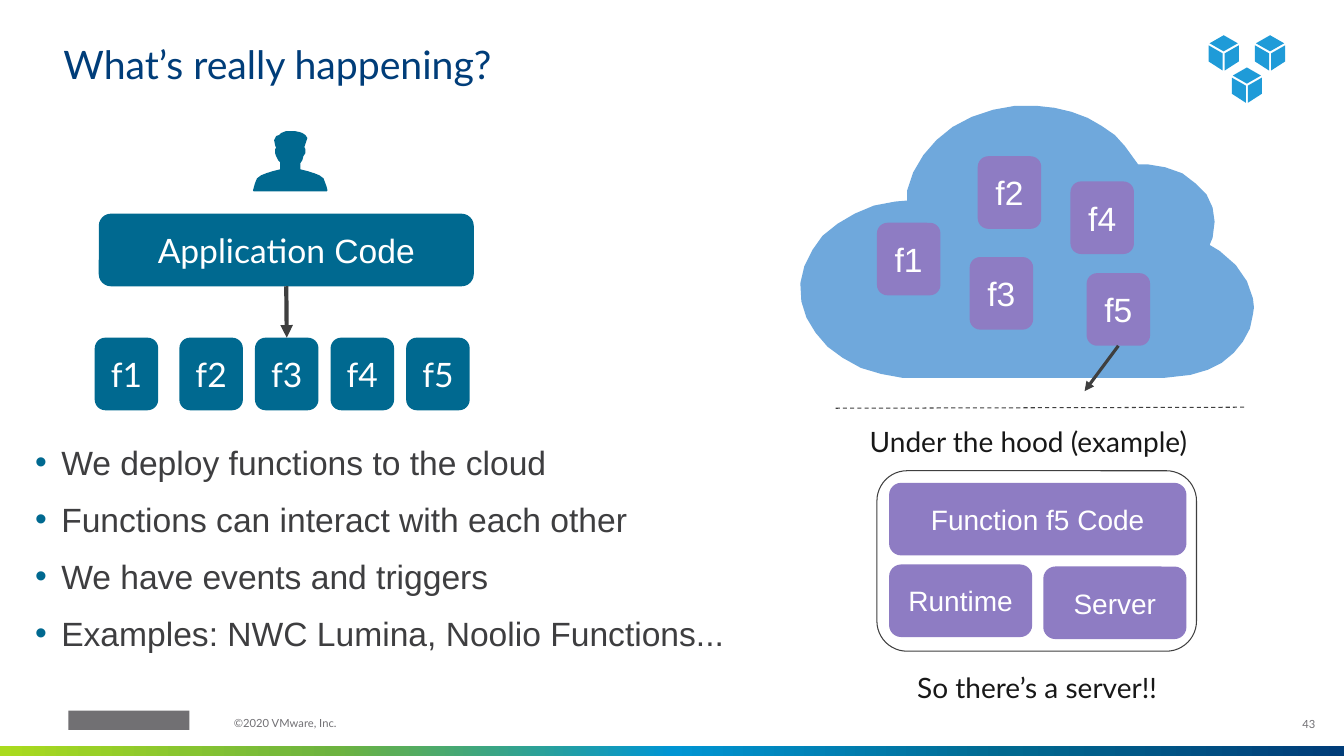
from lxml import etree
from pptx import Presentation
from pptx.dml.color import RGBColor as RGB
from pptx.enum.dml import MSO_LINE
from pptx.enum.shapes import MSO_CONNECTOR, MSO_SHAPE as SHAPE
from pptx.enum.text import MSO_ANCHOR as ANCHOR, PP_ALIGN as ALIGN
from pptx.oxml.ns import qn
from pptx.util import Emu, Inches, Pt

CELL = Inches(0.1)  # grid of square cells
COLS, ROWS = 133.33, 75
C = {"navy": "003D79", "teal": "006990", "purple": "8E7CC3", "cloud": "6FA8DC",
     "cube": "1F9BD8", "line": "3F3F3F", "body": "3E3E40", "label": "181818",
     "footer": "717074", "mark": "717073", "white": "FFFFFF"}
STRIPE = [(0, "AADB1E"), (25, "6DB33F"), (50, "0095D3"), (75, "006990"), (100, "003D79")]

CLOUD = [(120, 24.3), (120.3, 23.6), (120.5, 22), (120.3, 20.6), (119.7, 19.3), (118.6, 18.2),
         (117.3, 17.2), (115.6, 16.6), (113.8, 16.3), (112.9, 16.3), (111.6, 14.5), (110.6, 13.4),
         (109.3, 12.5), (107.9, 11.7), (106.3, 11.1), (104.6, 10.7), (102.8, 10.5), (100.7, 10.5),
         (98.5, 10.9), (96.4, 11.6), (94.5, 12.6), (92.9, 13.9), (91.6, 15.4), (90.6, 17.1),
         (90, 18.9), (90, 19.9), (88.8, 20), (86.7, 20.4), (84.8, 21.2), (83.1, 22.2),
         (81.6, 23.4), (80.6, 24.8), (79.8, 26.4), (79.4, 28.1), (79.5, 29.9), (80, 31.5),
         (80.9, 33), (82.1, 34.4), (83.6, 35.5), (85.4, 36.5), (87.4, 37.1), (89.6, 37.5),
         (115.4, 37.5), (118.1, 37.2), (119.8, 36.7), (121.2, 36), (122.4, 35), (123.3, 33.9),
         (124, 32.6), (124.3, 31.2), (124.4, 30.5), (124.3, 29.6), (123.7, 27.9), (122.6, 26.3),
         (121, 24.9)]
PERSON = [(32.1, 17.7), (31.7, 17.4), (31.2, 17.2), (30.6, 17), (29.8, 16.8), (29.8, 16.2),
          (30, 15.9), (30.1, 15.5), (30.3, 15.2), (30.3, 14.8), (30.2, 14.6), (30.4, 14),
          (30.5, 13.7), (30.3, 13.4), (30, 13.2), (29.7, 13.1), (29.2, 13), (28.4, 13),
          (27.9, 13.2), (27.7, 13.4), (27.4, 13.5), (27.2, 13.9), (27.3, 14.4), (27.4, 14.7),
          (27.3, 14.8), (27.3, 15.2), (27.4, 15.5), (27.6, 15.9), (27.8, 16.1), (27.8, 16.8),
          (27, 17), (26.4, 17.2), (25.9, 17.4), (25.5, 17.7), (25.3, 18.2), (25.1, 18.9),
          (25.2, 19), (32.4, 19), (32.5, 18.9), (32.4, 18.5)]
CUBE_TOP = [(0, 0), (-1.4, 0.8), (0, 1.6), (1.4, 0.8)]
CUBE_SIDE = [(1.5, 1), (0.1, 1.8), (0.1, 3.5), (1.5, 2.6)]


def grid(*values):
    return [Emu(round(v * CELL)) for v in values]


def write(sp, *paras, font="Lato", size=24, color="white", align=ALIGN.LEFT,
          anchor=ANCHOR.TOP, inset=(1, 1), spacing=None, before=0, bullet=None):
    """Fill a shape; each paragraph is a string or a list of (text, font) runs."""
    tf = sp.text_frame
    tf.word_wrap = True
    tf.vertical_anchor = anchor
    tf.margin_left = tf.margin_right = grid(inset[0])[0]
    tf.margin_top = tf.margin_bottom = grid(inset[1])[0]
    for i, para in enumerate(paras):
        p = tf.paragraphs[0] if i == 0 else tf.add_paragraph()
        p.alignment = align
        if spacing:
            p.line_spacing = spacing
        if i and before:
            p.space_before = Pt(before)
        if bullet:
            add_bullet(p, bullet)
        for text, face in [(para, font)] if isinstance(para, str) else para:
            r = p.add_run()
            r.text = text
            r.font.name, r.font.size = face, Pt(size)
            r.font.color.rgb = RGB.from_string(C[color])


def add_bullet(p, color):
    pPr = p._p.get_or_add_pPr()
    pPr.set("marL", str(Inches(0.31)))
    pPr.set("indent", str(Inches(-0.26)))
    clr = etree.SubElement(pPr, qn("a:buClr"))
    etree.SubElement(clr, qn("a:srgbClr"), val=C[color])
    etree.SubElement(pPr, qn("a:buFont"), typeface="Arial")
    etree.SubElement(pPr, qn("a:buChar"), char="•")


def paint(sp, fill=None, line=None):
    sp.shadow.inherit = False
    if fill:
        sp.fill.solid()
        sp.fill.fore_color.rgb = RGB.from_string(C[fill])
    else:
        sp.fill.background()
    if line:
        sp.line.color.rgb = RGB.from_string(C[line])
        sp.line.width = Pt(0.75)
    else:
        sp.line.fill.background()


def add_box(slide, at, *paras, fill="purple", line=None, kind=SHAPE.ROUNDED_RECTANGLE, **fmt):
    sp = slide.shapes.add_shape(kind, *grid(*at))
    paint(sp, fill, line)
    if paras:
        write(sp, *paras, align=ALIGN.CENTER, anchor=ANCHOR.MIDDLE, **fmt)
    return sp


def add_text(slide, at, *paras, **fmt):
    write(slide.shapes.add_textbox(*grid(*at)), *paras, **fmt)


def add_outline(slide, fill, *contours):
    first, *rest = [[grid(*pt) for pt in contour] for contour in contours]
    builder = slide.shapes.build_freeform(*first[0])
    builder.add_line_segments(first[1:])
    for contour in rest:
        builder.move_to(*contour[0])
        builder.add_line_segments(contour[1:])
    paint(builder.convert_to_shape(), fill)


def add_line(slide, start, end, width, arrow=False, dash=None, source=None, target=None):
    cx = slide.shapes.add_connector(MSO_CONNECTOR.STRAIGHT, *grid(*start, *end))
    cx.line.color.rgb = RGB.from_string(C["line"])
    cx.line.width = Pt(width)
    if dash:
        cx.line.dash_style = dash
    if arrow:
        etree.SubElement(cx.line._get_or_add_ln(), qn("a:tailEnd"), type="triangle")
    etree.SubElement(cx._element.spPr, qn("a:effectLst"))
    if source:
        cx.begin_connect(source, 2)
    if target:
        cx.end_connect(target, 0)


def add_stripe(slide):
    sp = add_box(slide, (0, ROWS - 1, COLS, 1), kind=SHAPE.RECTANGLE)
    sp.fill.gradient()
    sp.fill.gradient_angle = 0
    stops = sp._element.spPr.find(".//" + qn("a:gsLst"))
    for old in list(stops):
        stops.remove(old)
    for share, color in STRIPE:
        gs = etree.SubElement(stops, qn("a:gs"), pos=str(share * 1000))
        etree.SubElement(gs, qn("a:srgbClr"), val=color)


def add_cubes(slide):
    faces = [CUBE_TOP, CUBE_SIDE, [(-x, y) for x, y in CUBE_SIDE]]
    add_outline(slide, "cube", *[[(cx + x, cy + y) for x, y in face]
                                 for cx, cy in [(121.4, 3.5), (126, 3.5), (123.7, 6.7)]
                                 for face in faces])


def main():
    prs = Presentation()
    prs.slide_width, prs.slide_height = grid(COLS, ROWS)
    slide = prs.slides.add_slide(prs.slide_layouts[5])

    # Footer
    add_stripe(slide)
    add_box(slide, (6.8, 70.5, 12, 1.9), fill="mark", kind=SHAPE.RECTANGLE)
    small = dict(size=8, color="footer", inset=(0, 0), spacing=0.9)
    add_text(slide, (125.7, 69.9, 4.8, 4), "43", align=ALIGN.RIGHT, anchor=ANCHOR.MIDDLE, **small)
    add_text(slide, (23.2, 71.2, 21.5, 1.6), "©2020 VMware, Inc.", **small)

    # Title and icons
    title = slide.shapes.title
    title.left, title.top, title.width, title.height = grid(6.3, 4.5, 120.3, 4.2)
    write(title, "What’s really happening?", size=28, color="navy",
          anchor=ANCHOR.BOTTOM, inset=(0, 0), spacing=0.9)
    add_cubes(slide)
    add_outline(slide, "cloud", CLOUD)
    add_outline(slide, "teal", PERSON)

    # Application calling its functions
    app = add_box(slide, (9.8, 21.2, 37.2, 7.2),
                  [("Application", "Lato"), (" Code", "Arial")], fill="teal")
    lefts = [9.4] + [17.8 + 7.5 * i for i in range(4)]
    local = [add_box(slide, (x, 33.5, 6.3, 7.2), f"f{i}", fill="teal")
             for i, x in enumerate(lefts, 1)]
    add_line(slide, (28.4, 28.4), (28.4, 33.5), 3, arrow=True, source=app, target=local[2])

    # Functions in the cloud
    spots = [(87, 22.1), (97, 15.5), (96.2, 25.5), (106.2, 18), (107.8, 27.1)]
    remote = [add_box(slide, (*spot, 6.3, 7.2), f"f{i}", font="Arial")
              for i, spot in enumerate(spots, 1)]

    # Bullets
    add_text(slide, (2, 43.3, 77.6, 23.1),
             "We deploy functions to the cloud",
             "Functions can interact with each other",
             "We have events and triggers",
             "Examples: NWC Lumina, Noolio Functions...",
             font="Arial", color="body", inset=(1, 0.5), before=12, bullet="teal")

    # Under the hood
    add_line(slide, (82.9, 40.5), (123.5, 40.4), 0.75, dash=MSO_LINE.DASH)
    add_box(slide, (87, 46.7, 31.7, 17.9), fill=None, line="line")
    for text, at in [("Function f5 Code", (88.2, 47.9, 29.5, 7.2)),
                     ("Server", (103.5, 56.2, 14.2, 7.2)),
                     ("Runtime", (88.2, 56, 14.2, 7.2))]:
        add_box(slide, at, text, font="Arial", size=20)
    add_text(slide, (85.3, 41.1, 39, 3.1), "Under the hood (example)", size=20, color="label")
    add_text(slide, (90, 65.5, 29.5, 3.1), "So there’s a server!!", size=20, color="label")
    add_line(slide, (111, 34.3), (107.6, 38.8), 2.25, arrow=True, source=remote[4])

    prs.save("out.pptx")


if __name__ == "__main__":
    main()
